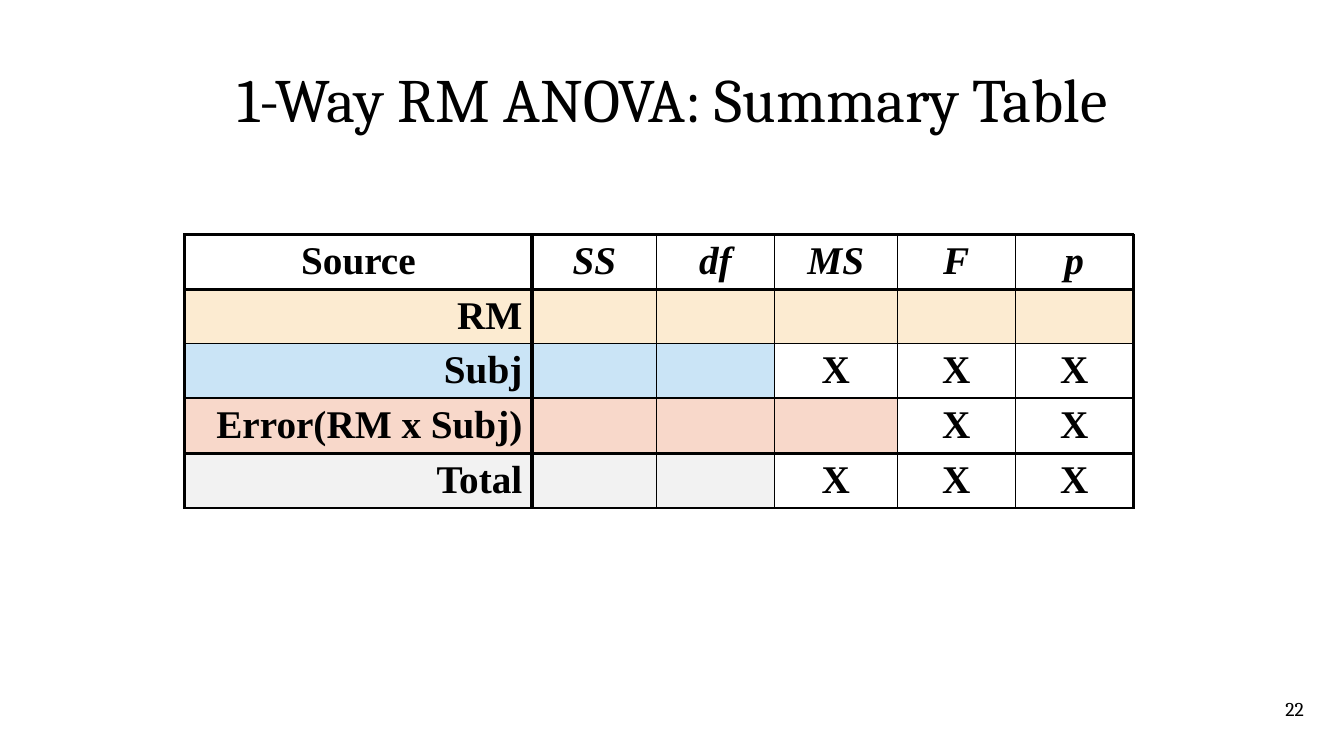
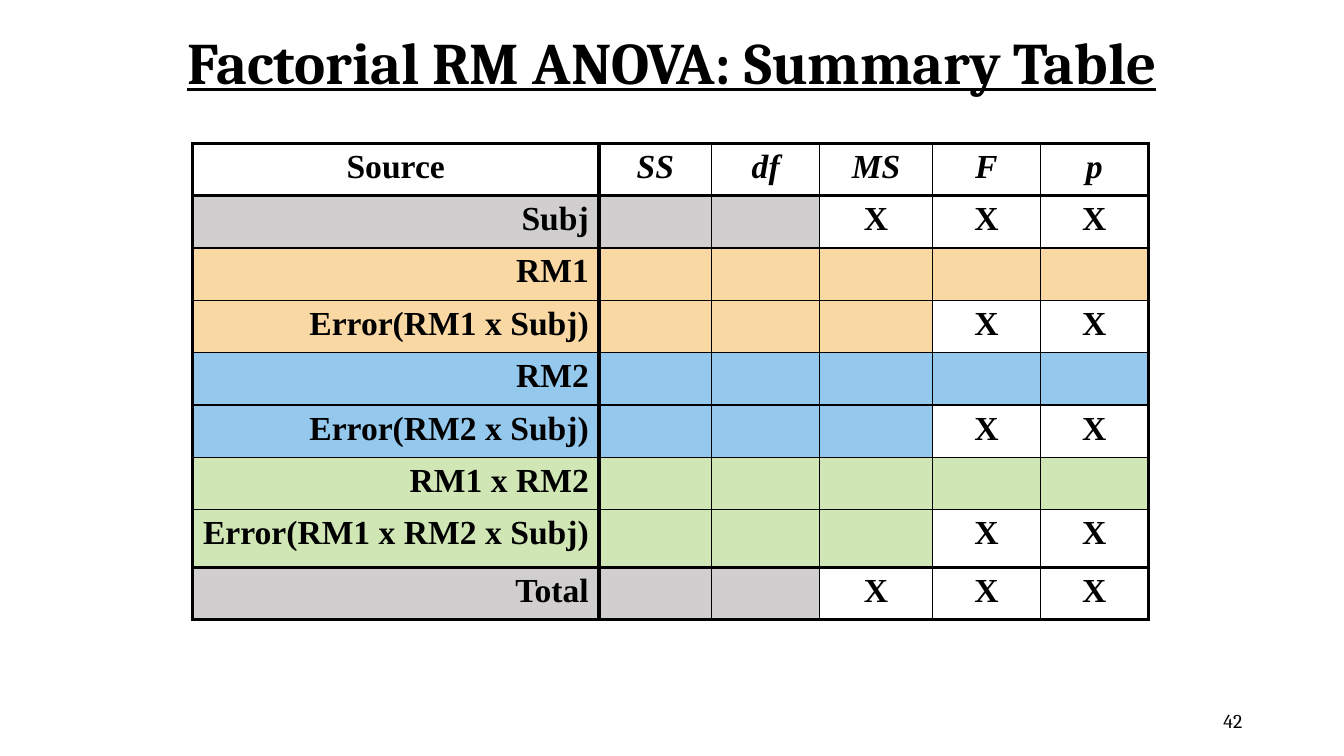
import pptx
import pptx.util
import pptx.dml.color
import pptx.enum.text
import pptx.oxml
import pptx.oxml.ns

Inches = pptx.util.Inches
Pt = pptx.util.Pt
RGBColor = pptx.dml.color.RGBColor
ALIGN = pptx.enum.text.PP_ALIGN
MIDDLE = pptx.enum.text.MSO_ANCHOR.MIDDLE

# Shared style
BLACK = RGBColor(0x00, 0x00, 0x00)
WHITE = RGBColor(0xFF, 0xFF, 0xFF)
PALE_ORANGE = RGBColor(0xFC, 0xEB, 0xD1)
PALE_BLUE = RGBColor(0xCA, 0xE4, 0xF6)
PALE_RED = RGBColor(0xF8, 0xD8, 0xCA)
PALE_GREY = RGBColor(0xF2, 0xF2, 0xF2)
ORANGE = RGBColor(0xF9, 0xD8, 0xA3)
BLUE = RGBColor(0x94, 0xC8, 0xED)
GREEN = RGBColor(0xD1, 0xE6, 0xB5)
GREY = RGBColor(0xD0, 0xCE, 0xCE)
HEADING_FONT = "Cambria"
TABLE_FONT = "Times New Roman"
HEADER = ["Source", "SS", "df", "MS", "F", "p"]
THIN, THICK, DIVIDER = 1, 2.25, 3

# Each row: label, colour, number of open (coloured) cells after the label
SLIDES = [
    dict(title="1-Way RM ANOVA: Summary Table", title_at=(1.67, 0.58, 10, 0.87),
         title_size=44, accent=False, table_at=(1.83, 2.33), table_size=28,
         cols=[3.45, 1.23, 1.17, 1.22, 1.17, 1.17],
         heights=[0.54, 0.54, 0.54, 0.55, 0.54],
         rows=[("RM", PALE_ORANGE, 5), ("Subj", PALE_BLUE, 2),
               ("Error(RM x Subj)", PALE_RED, 3), ("Total", PALE_GREY, 2)],
         number="22", number_at=(12.5, 6.83, 0.53, 0.4)),
    dict(title="Factorial RM ANOVA: Summary Table", title_at=(0, 0.17, 13.33, 0.95),
         title_size=42, accent=True, table_at=(1.91, 1.42), table_size=24,
         cols=[4.03, 1.12, 1.07, 1.12, 1.07, 1.07],
         heights=[0.52] * 7 + [0.57, 0.52],
         rows=[("Subj", GREY, 2),
               ("RM1", ORANGE, 5), ("Error(RM1 x Subj)", ORANGE, 3),
               ("RM2", BLUE, 5), ("Error(RM2 x Subj)", BLUE, 3),
               ("RM1 x RM2", GREEN, 5), ("Error(RM1 x RM2 x Subj)", GREEN, 3),
               ("Total", GREY, 2)],
         number="42", number_at=(9.42, 6.95, 3, 0.4)),
]


def add_run(tf, text, font, size, align, bold=False, italic=False):
    p = tf.paragraphs[0]
    p.alignment = align
    r = p.add_run()
    r.text = text
    r.font.name = font
    r.font.size = Pt(size)
    r.font.bold = bold
    r.font.italic = italic
    r.font.color.rgb = BLACK
    return r


def set_borders(cell, left, right, top, bottom):
    tcPr = cell._tc.get_or_add_tcPr()
    for side, width in zip("LRTB", (left, right, top, bottom)):
        tcPr.append(pptx.oxml.parse_xml(
            f'<a:ln{side} {pptx.oxml.ns.nsdecls("a")} w="{Pt(width)}">'
            f'<a:solidFill><a:srgbClr val="{BLACK}"/></a:solidFill></a:ln{side}>'))


prs = pptx.Presentation()
prs.slide_width = Inches(13.33)
prs.slide_height = Inches(7.5)

for data in SLIDES:
    s = prs.slides.add_slide(prs.slide_layouts[5])

    # Title
    sp = s.shapes.title
    sp.left, sp.top, sp.width, sp.height = map(Inches, data["title_at"])
    tf = sp.text_frame
    tf.vertical_anchor = MIDDLE
    r = add_run(tf, data["title"], HEADING_FONT, data["title_size"],
                ALIGN.CENTER, bold=data["accent"])
    r.font.underline = data["accent"]
    tf.paragraphs[0].line_spacing = 0.9

    # Table grid
    cols, heights = data["cols"], data["heights"]
    left, top = data["table_at"]
    table = s.shapes.add_table(len(heights), len(cols), Inches(left), Inches(top),
                               Inches(sum(cols)), Inches(sum(heights))).table
    table.first_row = table.horz_banding = False
    for column, width in zip(table.columns, cols):
        column.width = Inches(width)
    for row, height in zip(table.rows, heights):
        row.height = Inches(height)

    # Cells: header, then label, open cells and crossed-out cells
    x_edges = [THICK, DIVIDER] + [THIN] * (len(cols) - 2) + [THICK]
    y_edges = [THICK] * 2 + [THIN] * (len(heights) - 3) + [THICK] * 2
    for i in range(len(heights)):
        for j in range(len(cols)):
            cell = table.cell(i, j)
            align, fill = ALIGN.CENTER, WHITE
            if i == 0:
                text = HEADER[j]
            else:
                label, color, open_cells = data["rows"][i - 1]
                text = "X"
                if j <= open_cells:
                    text, fill = "", color
                if j == 0:
                    text, align = label, ALIGN.RIGHT
            if text:
                add_run(cell.text_frame, text, TABLE_FONT, data["table_size"],
                        align, bold=True, italic=i == 0 and j > 0)
            set_borders(cell, x_edges[j], x_edges[j + 1], y_edges[i], y_edges[i + 1])
            cell.fill.solid()
            cell.fill.fore_color.rgb = fill

    # Slide number
    tf = s.shapes.add_textbox(*map(Inches, data["number_at"])).text_frame
    tf.word_wrap = True
    tf.vertical_anchor = MIDDLE
    add_run(tf, data["number"], HEADING_FONT, 14, ALIGN.RIGHT)

prs.save("out.pptx")
